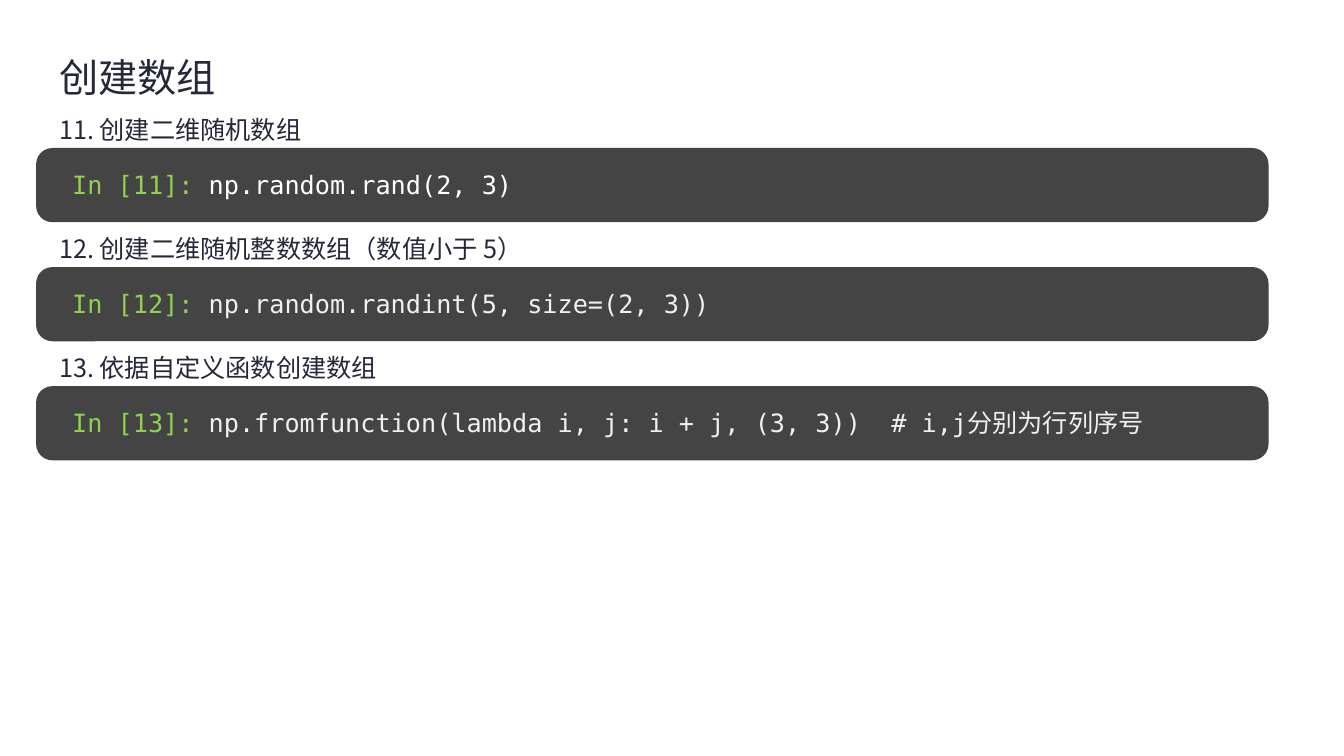
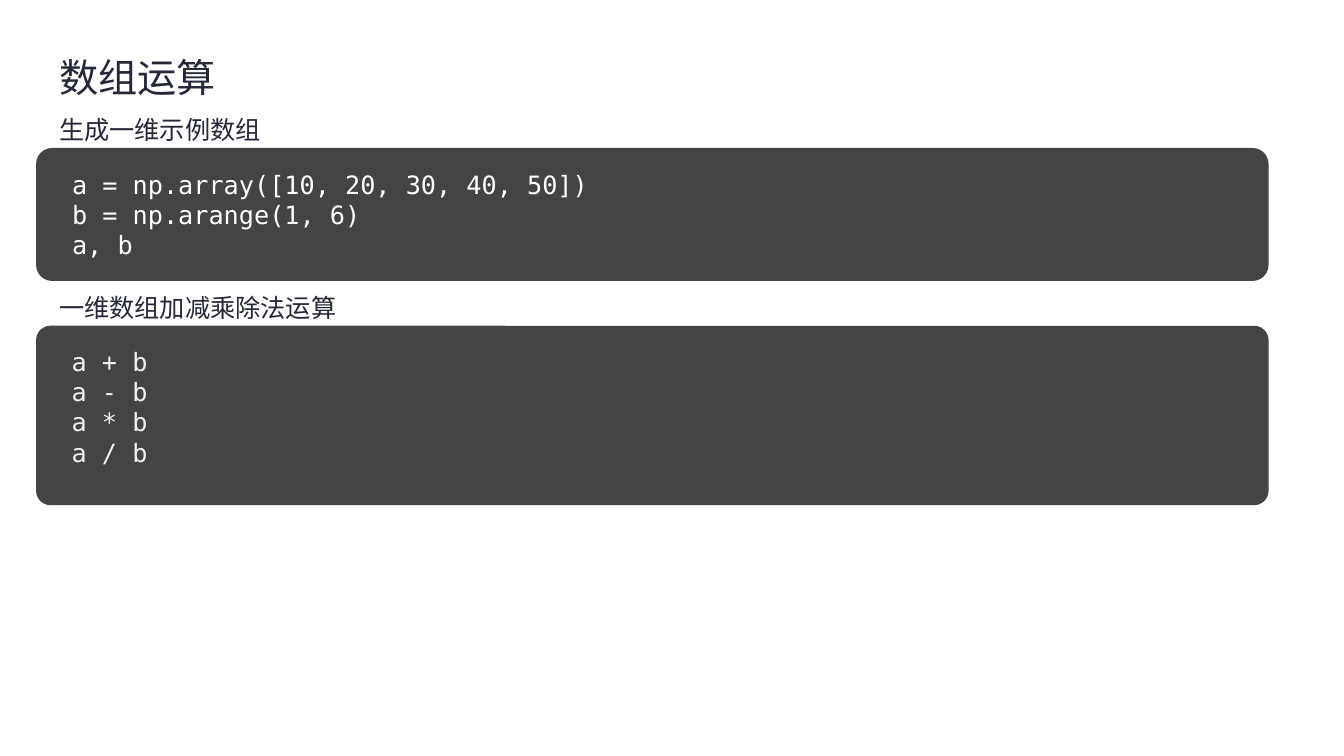
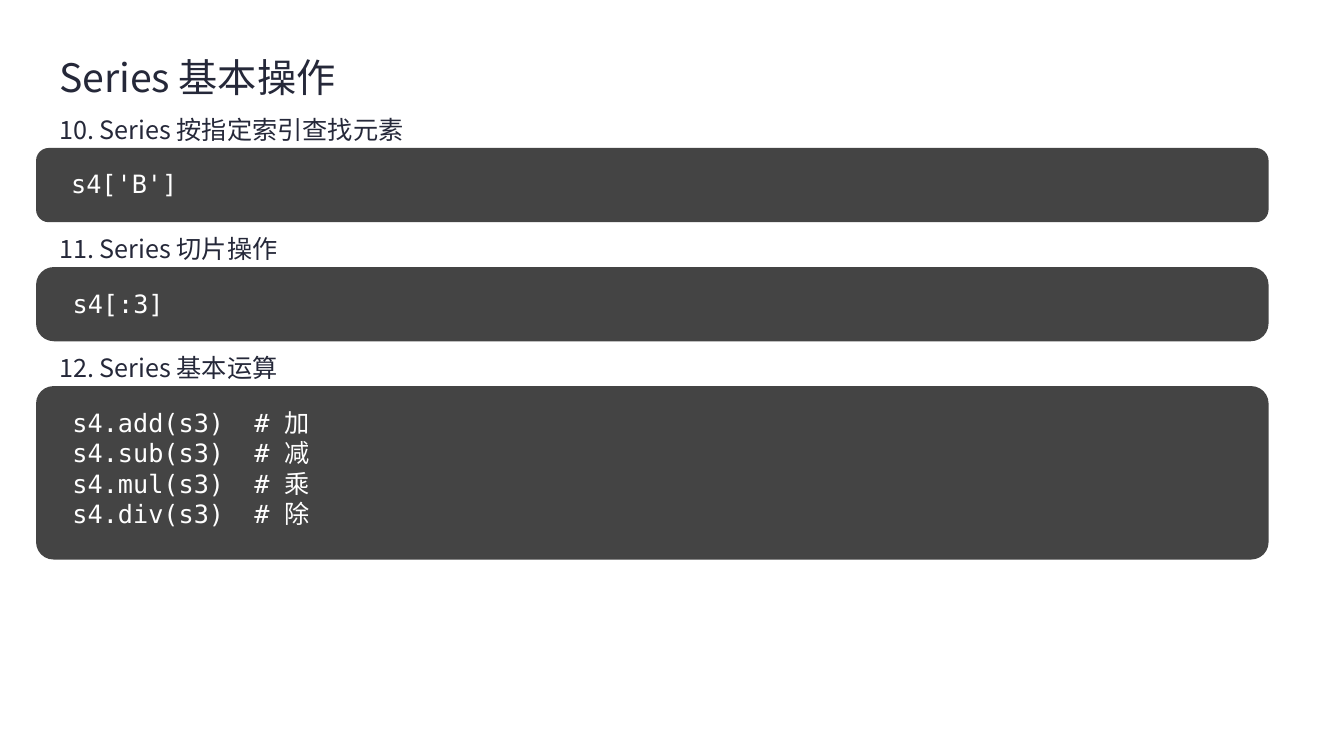
from pptx import Presentation
from pptx.dml.color import RGBColor
from pptx.enum import shapes, text
from pptx.oxml import ns
from pptx.util import Cm, Pt

INK = RGBColor(0x25, 0x28, 0x39)
PANEL = RGBColor(0x44, 0x44, 0x44)
GREEN = RGBColor(0x92, 0xD0, 0x50)
WHITE = RGBColor(0xFF, 0xFF, 0xFF)
PALE = RGBColor(0xF0, 0xF0, 0xF0)
SANS = "Noto Sans CJK SC"
MONO = "DejaVu Sans Mono"

# Heights in cm
TOP = 3.73
LABEL = 1.13
LINE = 1.87

# Title, then blocks: label, prompt, code, code colour, panel height, corner
pages = [
    ("创建数组", [
        ("11. 创建二维随机数组", "In [11]: ",
         "np.random.rand(2, 3)", WHITE, LINE, 0.22),
        ("12. 创建二维随机整数数组（数值小于 5）", "In [12]: ",
         "np.random.randint(5, size=(2, 3))", PALE, LINE, 0.22),
        ("13. 依据自定义函数创建数组", "In [13]: ",
         "np.fromfunction(lambda i, j: i + j, (3, 3))  # i,j分别为行列序号",
         PALE, LINE, 0.22),
    ]),
    ("数组运算", [
        ("生成一维示例数组", "",
         "a = np.array([10, 20, 30, 40, 50])\nb = np.arange(1, 6)\na, b",
         WHITE, 3.35, 0.12),
        ("一维数组加减乘除法运算", "",
         "a + b\na - b\na * b\na / b", PALE, 4.52, 0.08),
    ]),
    ("Series 基本操作", [
        ("10. Series 按指定索引查找元素", "", "s4['B']", WHITE, LINE, 0.17),
        ("11. Series 切片操作", "", "s4[:3]", WHITE, LINE, 0.24),
        ("12. Series 基本运算", "",
         "s4.add(s3)  # 加\ns4.sub(s3)  # 减\ns4.mul(s3)  # 乘\ns4.div(s3)  # 除",
         WHITE, 4.37, 0.1),
    ]),
]


def style(para, face, size, tint=None):
    """Set the font of a paragraph, for Latin and Chinese text alike."""
    para.font.name = face
    para.font.size = Pt(size)
    if tint is not None:
        para.font.color.rgb = tint
    props = para._p.pPr.find(ns.qn("a:defRPr"))
    east = props.makeelement(ns.qn("a:ea"), {"typeface": face})
    props.find(ns.qn("a:latin")).addnext(east)


def prose(slide, top, high, lines):
    """Add a text box with one paragraph per (words, size) pair."""
    box = slide.shapes.add_textbox(Cm(1.24), Cm(top), Cm(30.43), Cm(high))
    frame = box.text_frame
    frame.word_wrap = True
    frame.auto_size = text.MSO_AUTO_SIZE.SHAPE_TO_FIT_TEXT
    frame.text = "\n".join(words for words, size in lines)
    for para, (words, size) in zip(frame.paragraphs, lines):
        para.line_spacing = 1.2
        para.space_after = Pt(6)
        style(para, SANS, size, INK)


deck = Presentation()
deck.slide_width, deck.slide_height = Cm(33.87), Cm(19.05)

for title, blocks in pages:
    slide = deck.slides.add_slide(deck.slide_layouts[6])
    top = TOP
    for num, (label, prompt, code, tint, high, bend) in enumerate(blocks):
        # Label; the first one shares a box with the title
        if num == 0:
            prose(slide, 0.97, 2.79, [(title, 28), (label, 18)])
        else:
            prose(slide, top, LABEL, [(label, 18)])
            top += LABEL

        # Code panel
        panel = slide.shapes.add_shape(
            shapes.MSO_SHAPE.ROUNDED_RECTANGLE,
            Cm(0.91), Cm(top), Cm(31.06), Cm(high))
        panel.adjustments[0] = bend
        panel.shadow.inherit = False
        panel.fill.solid()
        panel.fill.fore_color.rgb = PANEL
        panel.line.fill.background()
        top += high

        # Code text
        frame = panel.text_frame
        frame.word_wrap = True
        frame.vertical_anchor = text.MSO_ANCHOR.TOP
        frame.margin_left, frame.margin_right = Cm(0.79), Cm(0.61)
        frame.margin_top = frame.margin_bottom = Cm(0.41)
        if prompt:
            para = frame.paragraphs[0]
            for words, hue in ((prompt, GREEN), (code, tint)):
                run = para.add_run()
                run.text = words
                run.font.color.rgb = hue
        else:
            frame.text = code
        for para in frame.paragraphs:
            para.alignment = text.PP_ALIGN.LEFT
            style(para, MONO, 18, None if prompt else tint)

deck.save("out.pptx")
